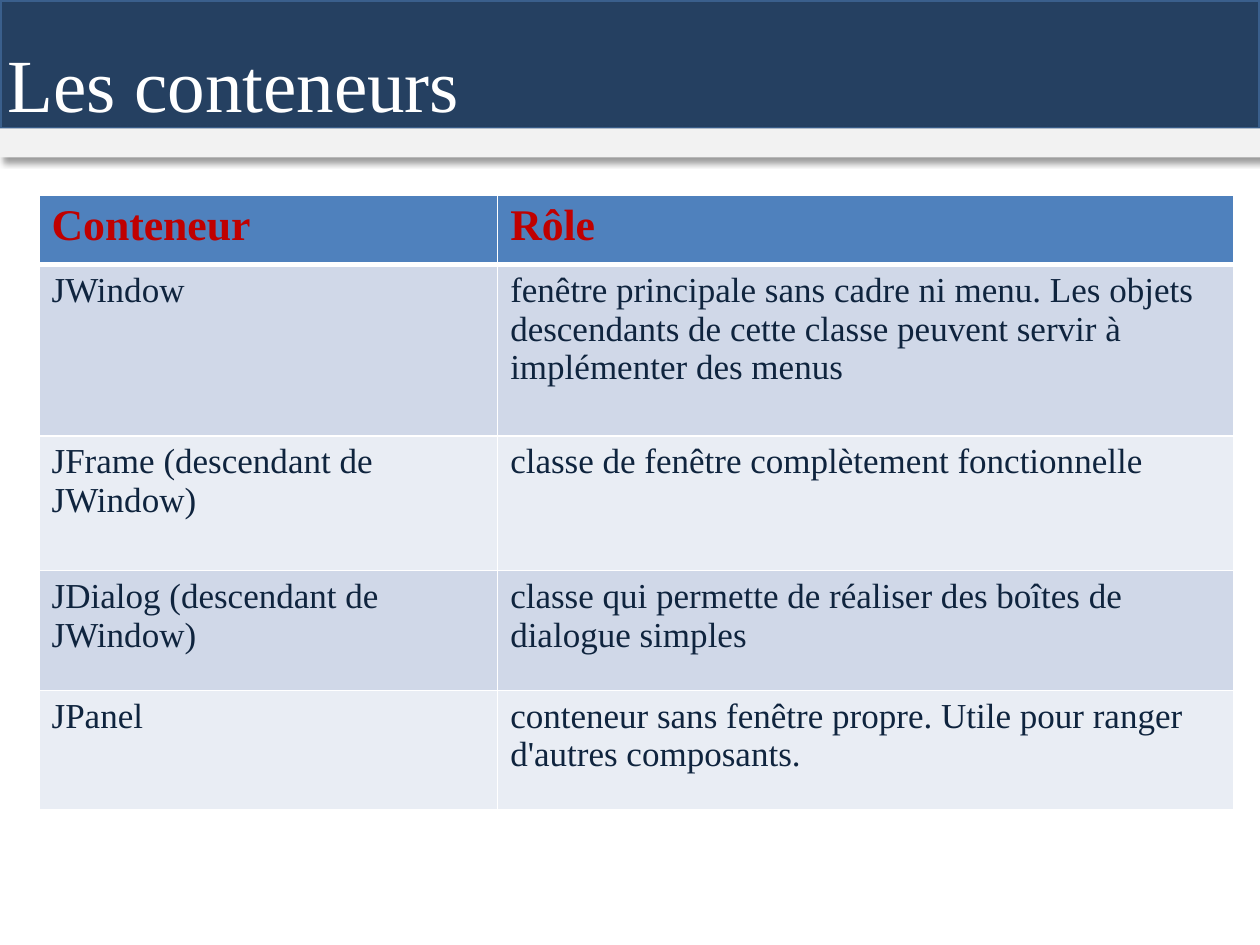
from lxml import etree
from pptx import Presentation
from pptx.dml.color import RGBColor
from pptx.enum.shapes import MSO_SHAPE
from pptx.enum.text import MSO_ANCHOR
from pptx.oxml import parse_xml
from pptx.util import Inches, Pt

RECT = MSO_SHAPE.RECTANGLE
BOTTOM = MSO_ANCHOR.BOTTOM
NS = "http://schemas.openxmlformats.org/drawingml/2006/main"
FONT = "Times New Roman"
WHITE = RGBColor(0xFF, 0xFF, 0xFF)
NAVY = RGBColor(0x25, 0x40, 0x61)
EDGE = RGBColor(0x3A, 0x5F, 0x8C)
PALE = RGBColor(0xF2, 0xF2, 0xF2)
RED = RGBColor(0xC0, 0x00, 0x00)
INK = RGBColor(0x0F, 0x24, 0x3E)
BLUE = RGBColor(0x4F, 0x81, 0xBD)
BANDS = (RGBColor(0xE9, 0xED, 0xF4), RGBColor(0xD0, 0xD8, 0xE8))

WIDE, HIGH = 10, 7.5
BAR = 1.02
COLS = (3.64, 5.84)
ROWS = (0.55, 1.36, 1.07, 0.95, 0.95)
DATA = (
    ("Conteneur", "Rôle"),
    ("JWindow",
     "fenêtre principale sans cadre ni menu. Les objets descendants "
     "de cette classe peuvent servir à implémenter des menus"),
    ("JFrame (descendant de JWindow)",
     "classe de fenêtre complètement fonctionnelle"),
    ("JDialog (descendant de JWindow)",
     "classe qui permette de réaliser des boîtes de dialogue simples"),
    ("JPanel",
     "conteneur sans fenêtre propre. Utile pour ranger "
     "d'autres composants."),
)


def box(left, top, width, height):
    return [Inches(v) for v in (left, top, width, height)]


def add_run(frame, text, size, color, bold=False):
    run = frame.paragraphs[0].add_run()
    run.text = text
    font = run.font
    font.name, font.size, font.bold = FONT, Pt(size), bold
    font.color.rgb = color


def add_shade(shape):
    shape.shadow.inherit = False
    effects = shape._element.spPr.find(f"{{{NS}}}effectLst")
    effects.append(parse_xml(
        f'<a:outerShdw xmlns:a="{NS}" blurRad="{Pt(4)}" dist="{Pt(3)}" '
        'dir="2700000" algn="tl" rotWithShape="0"><a:srgbClr val="000000">'
        '<a:alpha val="40000"/></a:srgbClr></a:outerShdw>'))


def add_band(slide, top, height, color, edge=None):
    band = slide.shapes.add_shape(RECT, *box(0, top, WIDE, height))
    band.fill.solid()
    band.fill.fore_color.rgb = color
    if edge is None:
        band.line.fill.background()
    else:
        band.line.color.rgb = edge
        band.line.width = Pt(2)
    add_shade(band)


def add_title(slide, text):
    frame = slide.shapes.add_textbox(*box(-0.04, 0.3, 7.29, 0.77)).text_frame
    frame.word_wrap = True
    frame.vertical_anchor = BOTTOM
    frame.paragraphs[0].line_spacing = 0.9
    add_run(frame, text, 42.9, WHITE)


def set_edges(cell, top, bottom):
    props = cell._tc.get_or_add_tcPr()
    for side, width in (("L", 1), ("R", 1), ("T", top), ("B", bottom)):
        line = etree.SubElement(props, f"{{{NS}}}ln{side}", w=str(Pt(width)))
        fill = etree.SubElement(line, f"{{{NS}}}solidFill")
        etree.SubElement(fill, f"{{{NS}}}srgbClr", val=str(WHITE))


def fill_cell(cell, text, row):
    head = row == 0
    set_edges(cell, 3 if row == 1 else 1, 3 if head else 1)
    cell.fill.solid()
    cell.fill.fore_color.rgb = BLUE if head else BANDS[row % 2]
    add_run(cell.text_frame, text, 25 if head else 20,
            RED if head else INK, head)


def add_grid(slide):
    place = box(0.31, 1.55, sum(COLS), sum(ROWS))
    table = slide.shapes.add_table(len(ROWS), len(COLS), *place).table
    for col, width in zip(table.columns, COLS):
        col.width = Inches(width)
    for row, height in zip(table.rows, ROWS):
        row.height = Inches(height)
    for r, texts in enumerate(DATA):
        for c, text in enumerate(texts):
            fill_cell(table.cell(r, c), text, r)


def main():
    deck = Presentation()
    deck.slide_width, deck.slide_height = Inches(WIDE), Inches(HIGH)
    slide = deck.slides.add_slide(deck.slide_layouts[6])
    add_grid(slide)
    add_band(slide, 0, BAR, NAVY, EDGE)
    add_title(slide, "Les conteneurs")
    add_band(slide, BAR, 0.23, PALE)
    deck.save("out.pptx")


main()
